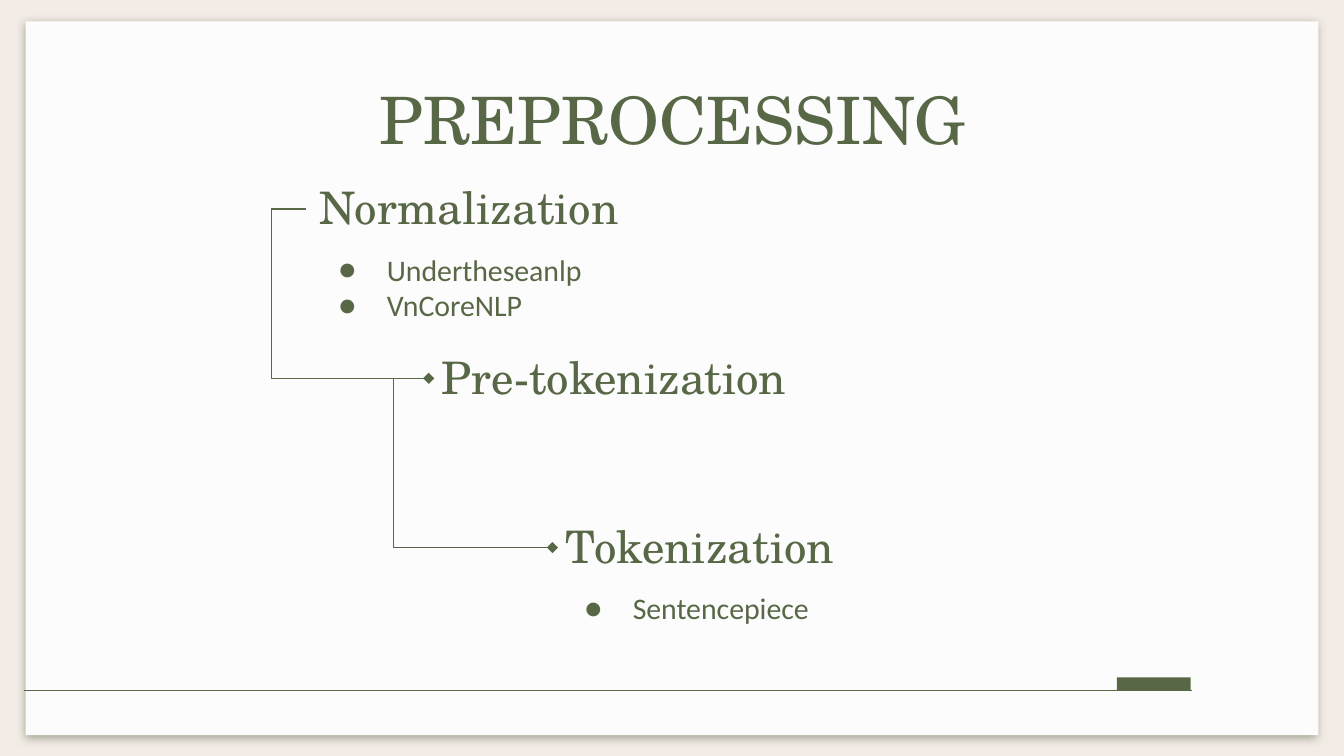
import pptx
import pptx.util
import pptx.dml.color
import pptx.enum.shapes
import pptx.enum.text
import pptx.oxml
import pptx.oxml.ns
from pptx.util import Inches

GREEN = "586847"
HEADING_FONT = "TeX Gyre Schola"
BODY_FONT = "Calibri"

# Each step: left edge, heading, bullets
STEPS = [
    (2.28, "Normalization", ["Undertheseanlp", "VnCoreNLP"]),
    (3.19, "Pre-tokenization", []),
    (4.11, "Tokenization", ["Sentencepiece"]),
]
FIRST_TOP = 1.27
STEP_HEIGHT = 1.26
BOX_WIDTH, BOX_HEIGHT = 4.28, 0.57


def rgb(color):
    return pptx.dml.color.RGBColor.from_string(color)


def add_xml(parent, xml):
    ns = pptx.oxml.ns.nsdecls("a")
    parent.append(pptx.oxml.parse_xml(xml.replace(" ", f" {ns} ", 1)))


def add_rect(s, left, top, width, height, fill):
    sp = s.shapes.add_shape(pptx.enum.shapes.MSO_SHAPE.RECTANGLE,
                            Inches(left), Inches(top), Inches(width), Inches(height))
    sp.fill.solid()
    sp.fill.fore_color.rgb = rgb(fill)
    sp.line.fill.background()
    sp.shadow.inherit = False
    return sp


def add_shadow(sp):
    effects = sp._element.spPr.find(pptx.oxml.ns.qn("a:effectLst"))
    add_xml(effects, '<a:outerShdw blurRad="57150" dist="19050" dir="5400000" algn="bl" '
                     f'rotWithShape="0"><a:srgbClr val="{GREEN}"><a:alpha val="50000"/>'
                     '</a:srgbClr></a:outerShdw>')


def add_text(s, left, top, width, height, lines, size, font,
             align="LEFT", anchor="TOP", bullets=False):
    sp = s.shapes.add_textbox(Inches(left), Inches(top), Inches(width), Inches(height))
    tf = sp.text_frame
    tf.word_wrap = True
    tf.vertical_anchor = pptx.enum.text.MSO_ANCHOR[anchor]
    tf.margin_left = tf.margin_right = tf.margin_top = tf.margin_bottom = Inches(0.1)
    for i, line in enumerate(lines):
        p = tf.paragraphs[0] if i == 0 else tf.add_paragraph()
        p.alignment = pptx.enum.text.PP_ALIGN[align]
        if bullets:
            add_bullet(p, font)
        r = p.add_run()
        r.text = line
        r.font.name = font
        r.font.size = pptx.util.Pt(size)
        r.font.color.rgb = rgb(GREEN)


def add_bullet(p, font):
    pPr = p._p.get_or_add_pPr()
    pPr.set("marL", str(Inches(0.5)))
    pPr.set("indent", str(Inches(-0.36)))
    add_xml(pPr, f'<a:buClr ><a:srgbClr val="{GREEN}"/></a:buClr>')
    add_xml(pPr, f'<a:buFont typeface="{font}"/>')
    add_xml(pPr, '<a:buChar char="●"/>')


def add_line(s, kind, x1, y1, x2, y2):
    line = s.shapes.add_connector(pptx.enum.shapes.MSO_CONNECTOR[kind],
                                  Inches(x1), Inches(y1), Inches(x2), Inches(y2))
    line.line.color.rgb = rgb(GREEN)
    line.line.width = pptx.util.Pt(0.75)
    add_xml(line._element.spPr, "<a:effectLst />")
    return line


def add_elbow(s, x1, y1, x2, y2):
    """Link two headings, bending out to the left of the first one."""
    line = add_line(s, "ELBOW", x1, y1, x2, y2)
    spPr = line._element.spPr
    qn = pptx.oxml.ns.qn
    guides = spPr.find(qn("a:prstGeom")).get_or_add_avLst()
    add_xml(guides, '<a:gd name="adj1" fmla="val -28400"/>')
    add_xml(spPr.find(qn("a:ln")), '<a:tailEnd type="diamond"/>')


def main():
    prs = pptx.Presentation()
    prs.slide_width = Inches(10)
    prs.slide_height = prs.slide_width * 9 // 16
    s = prs.slides.add_slide(prs.slide_layouts[6])

    # Background, card and footer
    s.background.fill.solid()
    s.background.fill.fore_color.rgb = rgb("F3ECE6")
    add_shadow(add_rect(s, 0.19, 0.16, 9.62, 5.31, "FCFCFC"))
    add_line(s, "STRAIGHT", 8.87, 5.14, 0.18, 5.14)
    add_rect(s, 8.31, 5.04, 0.55, 0.1, GREEN)

    # Title
    add_text(s, 0.79, 0.49, 8.43, 0.63, ["PREPROCESSING"], 35, HEADING_FONT, align="CENTER")

    # Steps, each with its bullets below the heading
    ends = []
    for i, (left, heading, items) in enumerate(STEPS):
        top = FIRST_TOP + i * STEP_HEIGHT
        add_text(s, left, top, BOX_WIDTH, BOX_HEIGHT, [heading], 24, HEADING_FONT,
                 anchor="BOTTOM")
        if items:
            add_text(s, left, top + 0.5, BOX_WIDTH, BOX_HEIGHT, items, 16, BODY_FONT,
                     bullets=True)
        ends.append((left, top + BOX_HEIGHT / 2))

    # Links from each step to the next
    for start, end in zip(ends, ends[1:]):
        add_elbow(s, *start, *end)

    prs.save("out.pptx")


if __name__ == "__main__":
    main()
